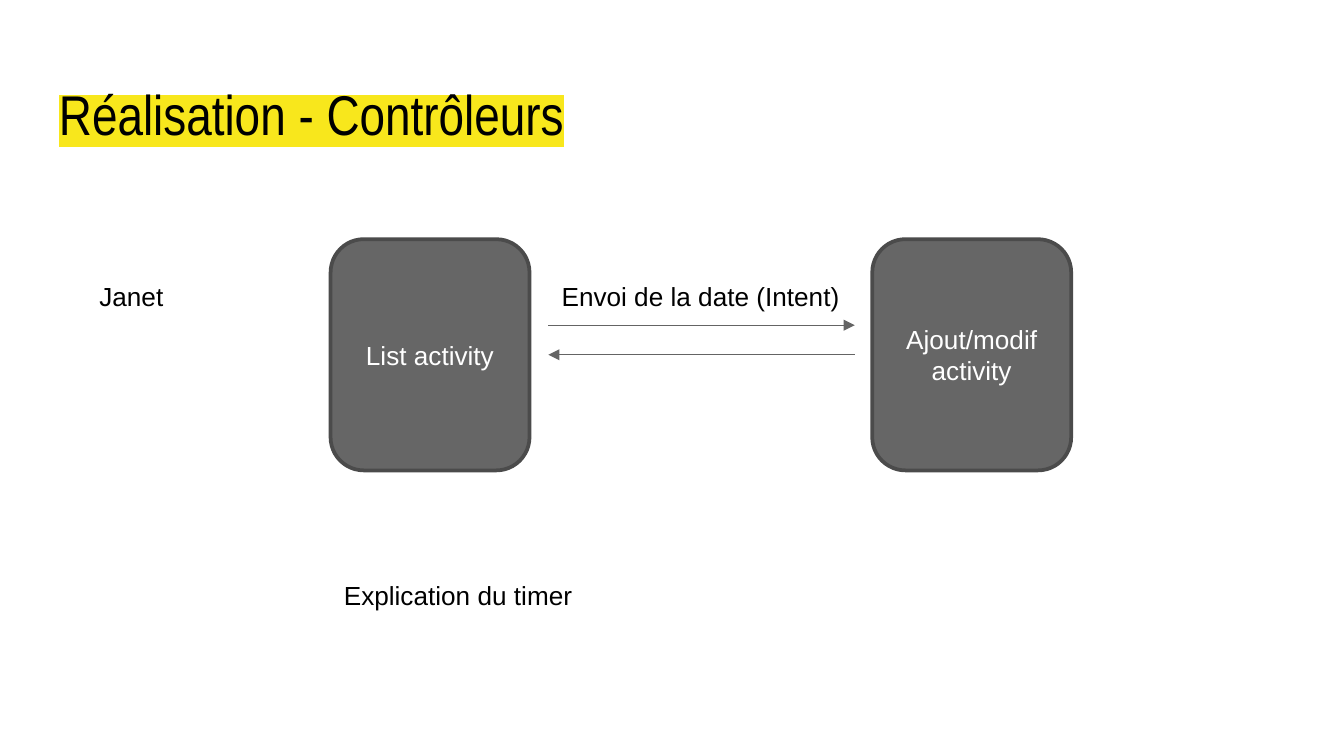
from dataclasses import dataclass

from lxml.etree import SubElement
from pptx import Presentation
from pptx.dml.color import RGBColor
from pptx.enum.shapes import MSO_CONNECTOR, MSO_SHAPE
from pptx.enum.text import MSO_ANCHOR, MSO_AUTO_SIZE, PP_ALIGN
from pptx.oxml.ns import qn
from pptx.slide import Slide
from pptx.util import Inches, Pt

COLORS = {
    "text": "000000",
    "highlight": "F8E71C",
    "card": "666666",
    "card_line": "4B4B4B",
    "card_text": "FFFFFF",
    "arrow": "646464",
}
PAGE_WIDTH = Inches(10)
PAGE_HEIGHT = PAGE_WIDTH * 9 // 16  # widescreen
CARD_TOP, CARD_WIDTH, CARD_HEIGHT = 1.78, 1.48, 1.72
ARROW_LEFT, ARROW_RIGHT = 4.08, 6.36
LABEL_HEIGHT = 0.34


@dataclass
class Card:
    text: str
    left: float


@dataclass
class Label:
    text: str
    left: float
    top: float
    width: float


@dataclass
class Arrow:
    start: float
    end: float
    y: float


CARDS = [Card("List activity", 2.46), Card("Ajout/modif activity", 6.49)]
ARROWS = [Arrow(ARROW_LEFT, ARROW_RIGHT, 2.42), Arrow(ARROW_RIGHT, ARROW_LEFT, 2.64)]
LABELS = [
    Label("Envoi de la date (Intent)", ARROW_LEFT, 2.04, 2.28),
    Label("Explication du timer", 2.46, 4.26, 1.91),
    Label("Janet", 0.64, 2.04, 0.68),
]


def color(name: str) -> RGBColor:
    return RGBColor.from_string(COLORS[name])


def write(box, text: str, color_name: str = "text", size: float = 14,
          font: str = "Arial", **frame_format):
    """Write one formatted span and return it."""
    frame = box.text_frame
    margins = dict.fromkeys(
        ("margin_left", "margin_top", "margin_right", "margin_bottom"), Inches(0.1))
    for name, value in (margins | frame_format).items():
        setattr(frame, name, value)
    span = frame.paragraphs[0].add_run()
    span.text = text
    for name, value in {"name": font, "size": Pt(size)}.items():
        setattr(span.font, name, value)
    span.font.color.rgb = color(color_name)
    return span


def draw_title(page: Slide, text: str) -> None:
    box = page.shapes.add_textbox(Inches(0.34), Inches(0.49), Inches(9.32), Inches(0.63))
    span = write(box, text, size=30, font="Arial Narrow", word_wrap=True,
                 vertical_anchor=MSO_ANCHOR.TOP)
    # The highlight element sits between the fill and the typeface
    properties = span.font._element
    highlight = properties.makeelement(qn("a:highlight"), {})
    SubElement(highlight, qn("a:srgbClr"), val=COLORS["highlight"])
    properties.find(qn("a:solidFill")).addnext(highlight)


def draw_card(page: Slide, card: Card) -> None:
    box = page.shapes.add_shape(
        MSO_SHAPE.ROUNDED_RECTANGLE, Inches(card.left), Inches(CARD_TOP),
        Inches(CARD_WIDTH), Inches(CARD_HEIGHT))
    box.shadow.inherit = False
    box.fill.solid()
    box.fill.fore_color.rgb = color("card")
    box.line.color.rgb = color("card_line")
    box.line.width = Pt(2)
    write(box, card.text, "card_text", word_wrap=True, margin_top=Inches(0.05),
          margin_bottom=Inches(0.05), vertical_anchor=MSO_ANCHOR.MIDDLE)
    box.text_frame.paragraphs[0].alignment = PP_ALIGN.CENTER


def draw_arrow(page: Slide, arrow: Arrow) -> None:
    line = page.shapes.add_connector(
        MSO_CONNECTOR.STRAIGHT, Inches(arrow.start), Inches(arrow.y),
        Inches(arrow.end), Inches(arrow.y))
    line.line.color.rgb = color("arrow")
    line.line.width = Pt(0.75)
    outline = line._element.spPr.find(qn("a:ln"))
    SubElement(outline, qn("a:tailEnd"), type="triangle")
    SubElement(line._element.spPr, qn("a:effectLst"))


def draw_label(page: Slide, label: Label) -> None:
    box = page.shapes.add_textbox(
        Inches(label.left), Inches(label.top), Inches(label.width), Inches(LABEL_HEIGHT))
    write(box, label.text, word_wrap=False, margin_top=Inches(0.05),
          margin_bottom=Inches(0.05), auto_size=MSO_AUTO_SIZE.SHAPE_TO_FIT_TEXT)


def main() -> None:
    deck = Presentation()
    deck.slide_width, deck.slide_height = PAGE_WIDTH, PAGE_HEIGHT
    page = deck.slides.add_slide(deck.slide_layouts[6])

    # Heading
    draw_title(page, "Réalisation - Contrôleurs")

    # Activities and the messages between them
    for card in CARDS:
        draw_card(page, card)
    for arrow in ARROWS:
        draw_arrow(page, arrow)

    # Captions
    for label in LABELS:
        draw_label(page, label)

    deck.save("out.pptx")


if __name__ == "__main__":
    main()
